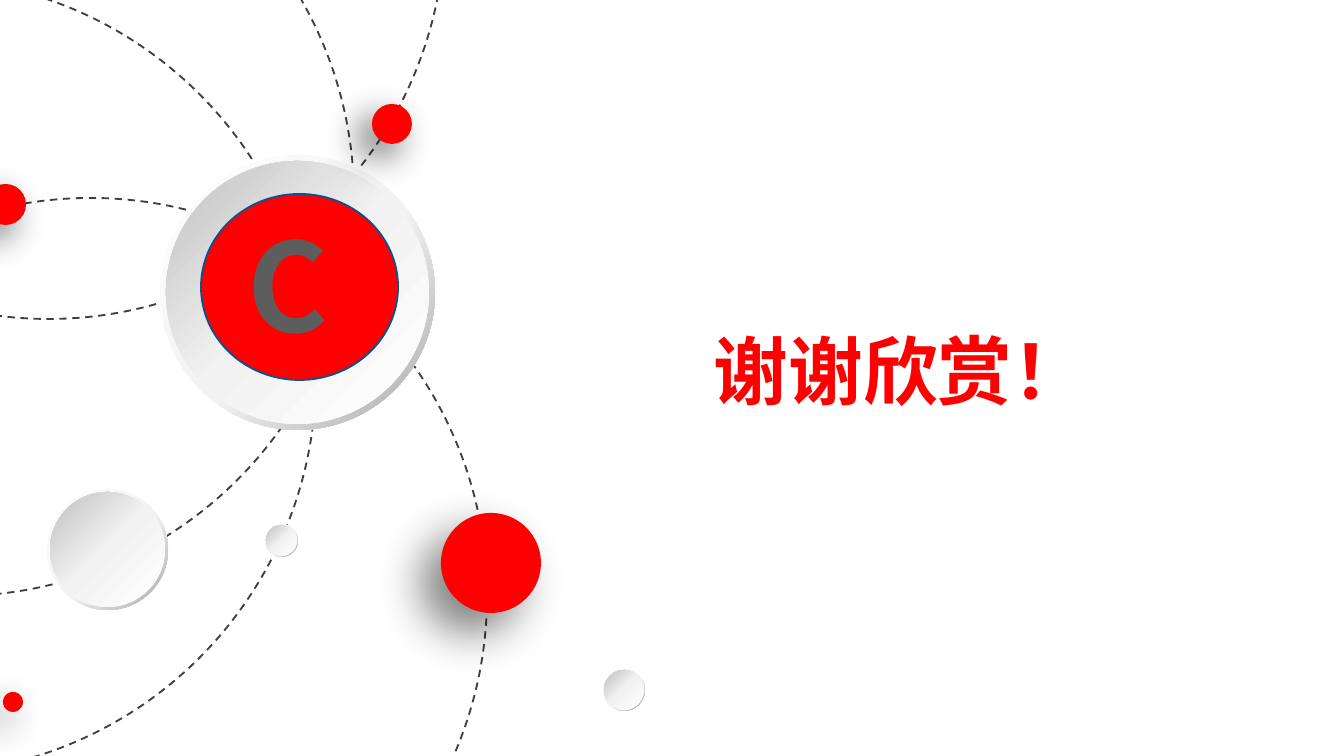
from lxml.etree import SubElement
from pptx import Presentation
from pptx.dml.color import RGBColor
from pptx.enum.dml import MSO_LINE
from pptx.enum.shapes import MSO_SHAPE
from pptx.enum.text import MSO_ANCHOR, PP_ALIGN
from pptx.oxml.ns import qn
from pptx.util import Pt

PX = 914400 / 134.4
FONT = "Noto Sans CJK SC"
COLORS = {
    "red": "FF0000",
    "navy": "0B5292",
    "orbit": "404040",
    "letter": "5D5D5D",
    "shadow": "000000",
    "white": "FFFFFF",
    "pale": "F2F2F2",
    "silver": "BFBFBF",
    "steel": "A6A6A6",
}


def emu(*lengths):
    return [round(n * PX) for n in lengths]


def rgb(name):
    return RGBColor.from_string(COLORS[name])


class Deck:
    def __init__(self, width, height):
        self.prs = Presentation()
        self.prs.slide_width, self.prs.slide_height = emu(width, height)
        self.s = self.prs.slides.add_slide(self.prs.slide_layouts[6])

    def shape(self, kind, x, y, w, h, fill=None, line=None):
        sp = self.s.shapes.add_shape(kind, *emu(x, y, w, h))
        sp.shadow.inherit = False
        if fill:
            sp.fill.solid()
            sp.fill.fore_color.rgb = rgb(fill)
        else:
            sp.fill.background()
        if line:
            sp.line.color.rgb = rgb(line)
            sp.line.width = Pt(1)
        else:
            sp.line.fill.background()
        return sp

    def orbit(self, x, y):
        sp = self.shape(MSO_SHAPE.OVAL, x, y, 793, 796, line="orbit")
        sp.line.dash_style = MSO_LINE.DASH

    def gradient(self, sp, stops, angle):
        sp.fill.gradient()
        sp.fill.gradient_angle = angle
        stop_list = sp._element.spPr.find(".//" + qn("a:gsLst"))
        stop_list.clear()
        for position, name in stops:
            gs = SubElement(stop_list, qn("a:gs"), pos=str(position * 1000))
            SubElement(gs, qn("a:srgbClr"), val=COLORS[name])

    def button(self, x, y, size, rim):
        ring = self.shape(MSO_SHAPE.DONUT, x, y, size, size)
        ring.adjustments[0] = 0.05
        self.gradient(ring, [(0, "white"), (55, "pale"), (100, "steel")], 315)
        inner = size - 2 * rim
        face = self.shape(MSO_SHAPE.OVAL, x + rim, y + rim, inner, inner)
        self.gradient(face, [(0, "white"), (51, "pale"), (100, "silver")], 135)

    def ball(self, x, y, size, alpha=60, blur=20, distance=10):
        sp = self.shape(MSO_SHAPE.OVAL, x, y, size, size, "red")
        effects = sp._element.spPr.find(qn("a:effectLst"))
        shadow = SubElement(
            effects, qn("a:outerShdw"), blurRad=str(Pt(blur)), dist=str(Pt(distance)),
            dir=str(135 * 60000), algn="tr", rotWithShape="0")
        color = SubElement(shadow, qn("a:srgbClr"), val=COLORS["shadow"])
        SubElement(color, qn("a:alpha"), val=str(alpha * 1000))

    def text(self, x, y, w, h, words, size, color):
        tf = self.s.shapes.add_textbox(*emu(x, y, w, h)).text_frame
        tf.word_wrap = True
        tf.vertical_anchor = MSO_ANCHOR.MIDDLE
        p = tf.paragraphs[0]
        r = p.add_run()
        r.text = words
        p.alignment = PP_ALIGN.CENTER
        p.font.size = Pt(size)
        p.font.bold = True
        p.font.color.rgb = rgb(color)
        p.font.name = FONT
        SubElement(r._r.get_or_add_rPr(), qn("a:ea"), typeface=FONT)


def main():
    deck = Deck(1344, 756)
    for x, y in [(-306, 198), (-439, -200), (-477, -22), (-348, -477)]:
        deck.orbit(x, y)
    deck.button(160, 155, 275, 6)
    deck.ball(441, 513, 100, alpha=50, blur=25, distance=15)
    deck.ball(372, 104, 40)
    deck.button(265, 524, 33, 1)
    deck.button(603, 669, 42, 1)
    deck.ball(-15, 184, 41)
    deck.ball(3, 692, 20)
    deck.button(47, 489, 121, 3)
    deck.text(571, 318, 659, 104, "谢谢欣赏！", 40, "red")
    deck.shape(MSO_SHAPE.FLOWCHART_CONNECTOR, 201, 194, 197, 186, "red", "navy")
    deck.text(208, 202, 160, 163, "C", 66, "letter")
    deck.prs.save("out.pptx")


if __name__ == "__main__":
    main()
